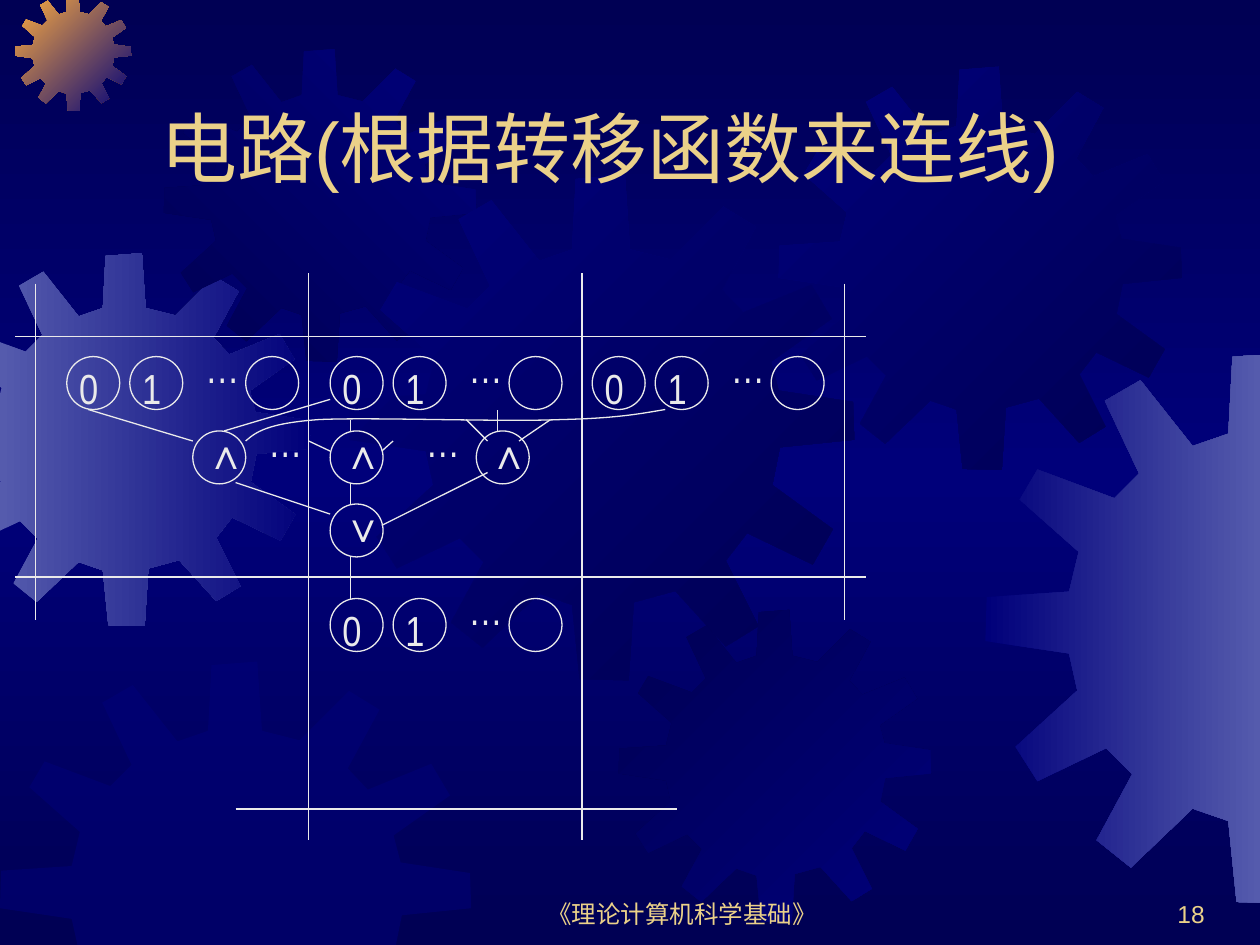
from lxml.etree import SubElement
from pptx import Presentation
from pptx.dml.color import RGBColor
from pptx.enum.shapes import MSO_CONNECTOR, MSO_SHAPE
from pptx.enum.text import MSO_ANCHOR as ANCHOR, MSO_AUTO_SIZE as AUTO_SIZE, PP_ALIGN as ALIGN
from pptx.oxml.ns import qn
from pptx.util import Inches, Pt

COLORS = {"night": "000054", "navy": "00007A", "steel": "555BAD",
          "orange": "FCAB40", "gold": "EBD189", "chalk": "EAEAEA"}
WIDTH, HEIGHT = 10, 7.5
NODE = 0.42
GEAR_SPAN = 401
GEAR_OUTLINE = [
    (255, 67), (223, 59), (219, 0), (180, 3), (177, 59), (151, 68), (113, 20), (87, 35),
    (112, 88), (94, 106), (38, 85), (25, 107), (68, 145), (61, 174), (1, 178), (0, 210),
    (61, 219), (67, 246), (22, 287), (38, 312), (88, 288), (107, 307), (81, 355), (106, 375),
    (151, 332), (177, 341), (183, 400), (222, 401), (226, 339), (259, 330), (299, 374),
    (325, 358), (299, 306), (316, 284), (368, 309), (384, 281), (336, 246), (342, 216),
    (401, 210), (400, 180), (341, 171), (335, 148), (383, 114), (367, 87), (313, 109),
    (296, 91), (323, 41), (297, 25)]
GEARS = [
    (-0.49, 2.01, 2.96, ("steel", "navy"), 0),
    (0.12, -0.04, 0.92, ("orange", "navy"), 45),
    (1.3, 0.39, 2.48, ("night", "navy"), 315),
    (2.77, 1.39, 4.01, ("navy", "night"), 45),
    (0, 5.25, 3.74, ("navy",), 0),
    (4.91, 4.84, 2.48, ("night", "navy"), 45),
    (6.18, 0.53, 3.2, ("navy", "night"), 45),
    (7.82, 2.8, 4.37, ("navy", "steel"), 0)]


def rgb(name):
    """Return the colour with the given name."""
    return RGBColor.from_string(COLORS[name])


def paint_gradient(element, fill, names, angle):
    """Fill with evenly spaced colours at a clockwise angle."""
    fill.gradient()
    fill.gradient_angle = -angle % 360
    stops = next(element.iter(qn("a:gsLst")))
    for stop in list(stops):
        stops.remove(stop)
    for i, name in enumerate(names):
        stop = SubElement(stops, qn("a:gs"), pos=str(100000 * i // (len(names) - 1)))
        SubElement(stop, qn("a:srgbClr"), val=COLORS[name])


def write(frame, text, size=24, font="Arial Narrow", color="chalk", align=ALIGN.LEFT,
          anchor=ANCHOR.TOP, grow=False):
    """Put one formatted line of text in a frame."""
    frame.word_wrap = True
    frame.auto_size = AUTO_SIZE.SHAPE_TO_FIT_TEXT if grow else AUTO_SIZE.NONE
    frame.vertical_anchor = anchor
    line = frame.paragraphs[0]
    line.alignment = align
    if grow:
        before = SubElement(line._p.get_or_add_pPr(), qn("a:spcBef"))
        SubElement(before, qn("a:spcPct"), val="50000")
    run = line.add_run()
    run.text = text
    run.font.size, run.font.name = Pt(size), font
    run.font.color.rgb = rgb(color)


def add_label(slide, left, top, width, height, text, **style):
    """Add a text box."""
    box = slide.shapes.add_textbox(*map(Inches, (left, top, width, height)))
    write(box.text_frame, text, **style)


def add_line(slide, *ends):
    """Add a thin straight line from x1, y1 to x2, y2."""
    line = slide.shapes.add_connector(MSO_CONNECTOR.STRAIGHT, *map(Inches, ends))
    line.line.color.rgb = rgb("chalk")
    line.line.width = Pt(0.75)
    SubElement(line._element.spPr, qn("a:effectLst"))


def style_outline(shape):
    """Leave a shape hollow with a thin line."""
    shape.shadow.inherit = False
    shape.fill.background()
    shape.line.color.rgb = rgb("chalk")
    shape.line.width = Pt(0.75)


def add_node(slide, left, top):
    """Add a hollow circle."""
    style_outline(slide.shapes.add_shape(
        MSO_SHAPE.OVAL, *map(Inches, (left, top, NODE, NODE))))


def add_freeform(slide, points, close):
    """Build an outline through points in inches."""
    start, *rest = [(Inches(x), Inches(y)) for x, y in points]
    builder = slide.shapes.build_freeform(*start)
    builder.add_line_segments(rest, close=close)
    return builder.convert_to_shape()


def clip(points, axis, limit, side):
    """Cut a polygon at a limit, keeping the part on the given side."""
    kept = []
    for a, b in zip(points, points[1:] + points[:1]):
        inside_a, inside_b = ((p[axis] - limit) * side >= 0 for p in (a, b))
        if inside_a:
            kept.append(a)
        if inside_a != inside_b:
            t = (limit - a[axis]) / (b[axis] - a[axis])
            kept.append(tuple(u + t * (v - u) for u, v in zip(a, b)))
    return kept


def add_gear(slide, left, top, size, names, angle):
    """Add a gear cut at the slide edges."""
    scale = size / GEAR_SPAN
    points = [(left + x * scale, top + y * scale) for x, y in GEAR_OUTLINE]
    for axis, limit, side in ((0, 0, 1), (0, WIDTH, -1), (1, 0, 1), (1, HEIGHT, -1)):
        points = clip(points, axis, limit, side)
    gear = add_freeform(slide, points, True)
    gear.shadow.inherit = False
    gear.line.fill.background()
    if len(names) > 1:
        paint_gradient(gear._element, gear.fill, names, angle)
    else:
        gear.fill.solid()
        gear.fill.fore_color.rgb = rgb(names[0])
        color = next(gear._element.spPr.iter(qn("a:srgbClr")))
        SubElement(color, qn("a:alpha"), val="50000")


def add_curve(slide, points):
    """Add a chain of cubic curves through start and control points."""
    curve = add_freeform(slide, points, False)
    style_outline(curve)
    outline = next(curve._element.iter(qn("a:path")))
    steps = list(outline.iter(qn("a:lnTo")))
    for i in range(0, len(steps), 3):
        bezier = SubElement(outline, qn("a:cubicBezTo"))
        for step in steps[i:i + 3]:
            bezier.append(step[0])
            outline.remove(step)


def add_cell(slide, left, top):
    """Add the state nodes 0, 1, … of one tape cell."""
    for offset in (0, 0.5, 1.42):
        add_node(slide, left + offset, top)
    for offset, rise, text in ((0, 0, "0"), (0.5, 0, "1"), (1, 0.17, "…")):
        add_label(slide, left + offset, top - rise, 0.5, 0.5, text, grow=True)


def add_gate(slide, left, top, sign):
    """Add a logic gate."""
    add_label(slide, left, top - 0.08, NODE, 0.5, sign, grow=True)
    add_node(slide, left, top)


def add_grid(slide, left, top):
    """Add the ruled lines between cells."""
    for x1, x2, y in ((0, 6.75, 0.5), (0, 6.75, 2.41), (1.75, 5.25, 4.25)):
        add_line(slide, left + x1, top + y, left + x2, top + y)
    for x, y1, y2 in ((0.16, 0.08, 2.75), (2.33, 0, 4.5), (4.5, 0, 4.5), (6.58, 0.08, 2.75)):
        add_line(slide, left + x, top + y1, left + x, top + y2)


def add_circuit(slide, left, top):
    """Add the cells, the gates and their wires."""
    add_grid(slide, left, top)
    for x, y in ((0.41, 0.66), (2.5, 0.66), (4.58, 0.66), (2.5, 2.58)):
        add_cell(slide, left + x, top + y)
    for x, y, sign in ((1.41, 1.25, "∧"), (2.5, 1.25, "∧"), (3.66, 1.25, "∧"), (2.5, 1.83, "∨")):
        add_gate(slide, left + x, top + y, sign)
    for x in (1.91, 3.16):
        add_label(slide, left + x, top + 1.08, 0.5, 0.5, "…", grow=True)
    wires = [
        (2.66, 2.25, 2.66, 2.58), (2.66, 1.66, 2.66, 1.83), (1.75, 1.66, 2.5, 1.91),
        (2.91, 2, 3.75, 1.58), (0.58, 1.08, 1.41, 1.33), (1.66, 1.25, 2.5, 1),
        (3.75, 1.33, 3.58, 1.16), (4, 1.33, 4.25, 1.16), (3.83, 1.25, 3.83, 1.08),
        (2.33, 1.33, 2.5, 1.41), (2.91, 1.41, 3, 1.33), (2.66, 1.25, 2.66, 1.16)]
    for x1, y1, x2, y2 in wires:
        add_line(slide, left + x1, top + y1, left + x2, top + y2)
    long_wire = [(1.83, 1.33), (1.91, 1.26), (2, 1.19), (2.41, 1.16), (2.83, 1.14),
                 (3.87, 1.18), (4.33, 1.16), (4.79, 1.15), (4.98, 1.11), (5.16, 1.08)]
    add_curve(slide, [(left + x, top + y) for x, y in long_wire])


def place_title(slide, left, top, width, height, text):
    """Place and format the title in front of the gears."""
    title = slide.shapes.title
    title.left, title.top, title.width, title.height = map(Inches, (left, top, width, height))
    write(title.text_frame, text, size=44, font="Arial", color="gold", anchor=ANCHOR.BOTTOM)
    slide.shapes._spTree.append(title._element)


def add_footer(slide, top, height):
    """Add the book title and the page number."""
    style = dict(size=14, font="Arial", color="gold", anchor=ANCHOR.BOTTOM)
    add_label(slide, 3.83, top, 3.17, height, "《理论计算机科学基础》", align=ALIGN.CENTER, **style)
    add_label(slide, 7.58, top, 2.08, height, "18", align=ALIGN.RIGHT, **style)


def main():
    """Build and save the slide."""
    deck = Presentation()
    deck.slide_width, deck.slide_height = Inches(WIDTH), Inches(HEIGHT)
    slide = deck.slides.add_slide(deck.slide_layouts[5])
    paint_gradient(slide._element, slide.background.fill, ("night", "navy", "night"), 90)
    for gear in GEARS:
        add_gear(slide, *gear)
    add_footer(slide, 6.92, 0.5)
    place_title(slide, 1.17, 0.33, 8.5, 1.25, "电路(根据转移函数来连线)")
    add_circuit(slide, 0.12, 2.17)
    deck.save("out.pptx")


if __name__ == "__main__":
    main()
